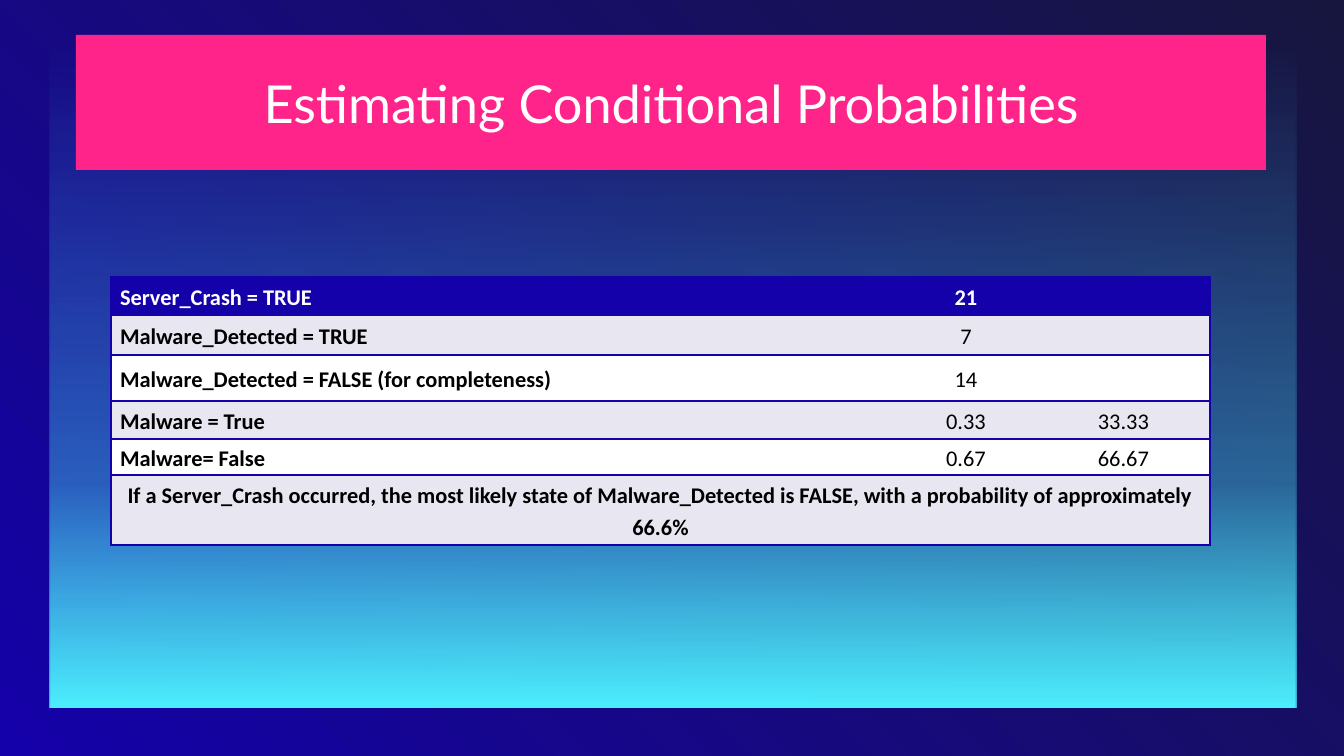
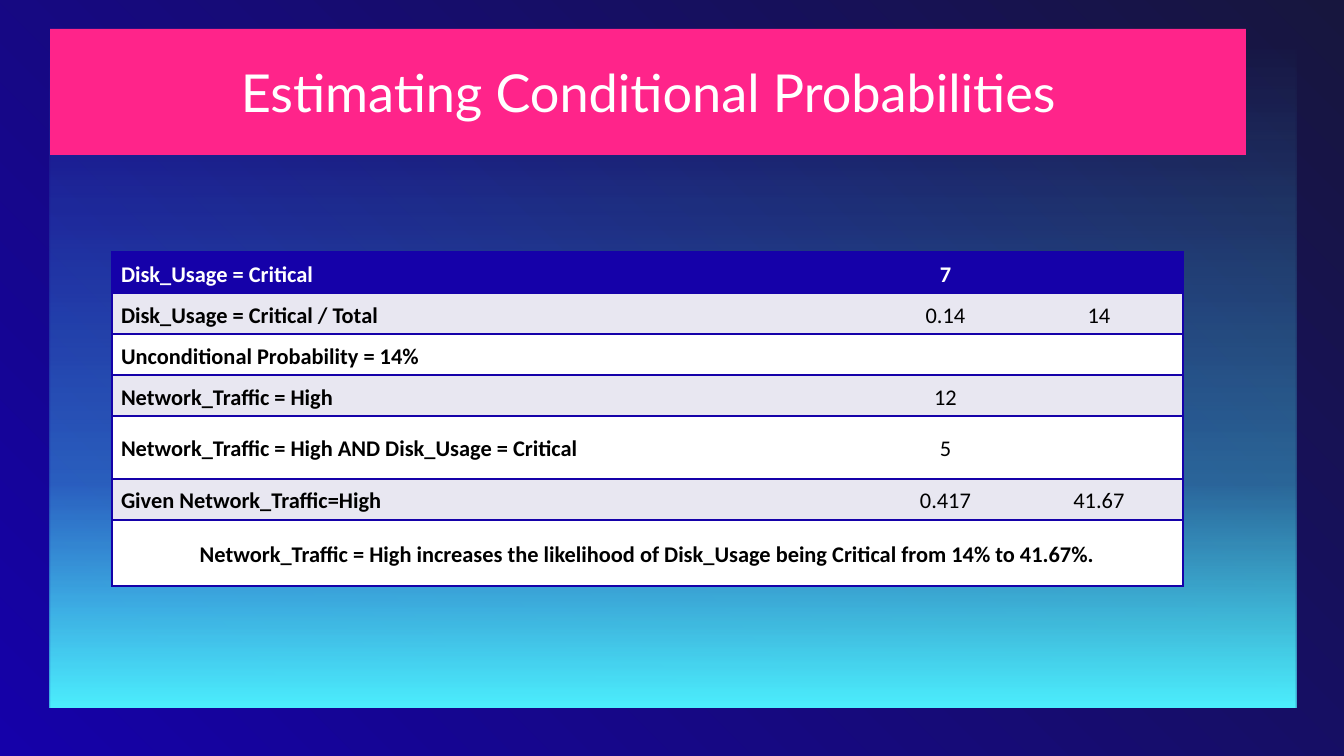
import dataclasses
import itertools
from typing import Any, Optional

import lxml.etree
import pptx
import pptx.dml.color
import pptx.enum.shapes
import pptx.enum.text
import pptx.oxml.ns
import pptx.util

SLIDE_WIDTH, SLIDE_HEIGHT = 1344, 756
EMU_PER_PX = 9144000 / SLIDE_WIDTH

NAVY, MIDNIGHT, CYAN, PINK = "1501A9", "17163E", "4CEEFD", "FF248A"
WHITE, BLACK, LAVENDER = "FFFFFF", "000000", "E8E7F1"
TITLE_FONT, TABLE_FONT = "Lato", "Calibri"
CENTER, LEFT = pptx.enum.text.PP_ALIGN.CENTER, pptx.enum.text.PP_ALIGN.LEFT
MIDDLE = pptx.enum.text.MSO_ANCHOR.MIDDLE


@dataclasses.dataclass(frozen=True)
class Box:
    left: int
    top: int
    width: int
    height: int


@dataclasses.dataclass(frozen=True)
class Stop:
    position: int
    color: str
    opacity: int = 100


@dataclasses.dataclass(frozen=True)
class Row:
    """One table row; a row with a single text spans every column."""
    height: int
    texts: tuple[str, ...]


@dataclasses.dataclass(frozen=True)
class ProbabilitySlide:
    title_box: Box
    table_left: int
    table_top: int
    column_widths: tuple[int, ...]
    rows: tuple[Row, ...]


TITLE = "Estimating Conditional Probabilities"
PANEL = Box(50, 47, 1247, 660)
SLIDES = (
    ProbabilitySlide(
        Box(76, 35, 1190, 135), 111, 277, (784, 142, 173),
        (
            Row(38, ("Server_Crash = TRUE", "21", "")),
            Row(40, ("Malware_Detected = TRUE", "7", "")),
            Row(46, ("Malware_Detected = FALSE (for completeness)", "14", "")),
            Row(38, ("Malware = True", "0.33", "33.33")),
            Row(36, ("Malware= False", "0.67", "66.67")),
            Row(70, ("If a Server_Crash occurred, the most likely state of Malware_Detected "
                     "is FALSE, with a probability of approximately 66.6%",)),
        ),
    ),
    ProbabilitySlide(
        Box(50, 29, 1196, 126), 112, 252, (764, 139, 168),
        (
            Row(41, ("Disk_Usage = Critical", "7", "")),
            Row(41, ("Disk_Usage = Critical / Total", "0.14", "14")),
            Row(41, ("Unconditional Probability = 14%",)),
            Row(41, ("Network_Traffic = High", "12", "")),
            Row(63, ("Network_Traffic = High AND Disk_Usage = Critical", "5", "")),
            Row(41, ("Given Network_Traffic=High", "0.417", "41.67")),
            Row(66, ("Network_Traffic = High increases the likelihood of Disk_Usage "
                     "being Critical from 14% to 41.67%.",)),
        ),
    ),
)


def px(length: int) -> pptx.util.Emu:
    return pptx.util.Emu(round(length * EMU_PER_PX))


def rgb(color: str) -> pptx.dml.color.RGBColor:
    return pptx.dml.color.RGBColor.from_string(color)


def add_child(parent: Any, tag: str, **attributes: str) -> Any:
    return lxml.etree.SubElement(parent, pptx.oxml.ns.qn(tag), attributes)


def fill_gradient(fill: Any, element: Any, angle: int, stops: tuple[Stop, ...]) -> None:
    """Give the fill inside element these stops, with the angle clockwise."""
    fill.gradient()
    gradient = next(element.iter(pptx.oxml.ns.qn("a:gradFill")))
    for child in list(gradient):
        gradient.remove(child)
    stop_list = add_child(gradient, "a:gsLst")
    for stop in stops:
        entry = add_child(stop_list, "a:gs", pos=str(stop.position * 1000))
        color = add_child(entry, "a:srgbClr", val=stop.color)
        if stop.opacity < 100:
            add_child(color, "a:alpha", val=str(stop.opacity * 1000))
    add_child(gradient, "a:lin", ang=str(angle * 60000), scaled="0")


def add_rectangle(slide: Any, box: Box) -> Any:
    shape = slide.shapes.add_shape(
        pptx.enum.shapes.MSO_SHAPE.RECTANGLE,
        px(box.left), px(box.top), px(box.width), px(box.height),
    )
    shape.shadow.inherit = False
    shape.line.fill.background()
    return shape


def format_runs(paragraph: Any, font: str, size: int, color: str, bold: bool) -> None:
    for run in paragraph.runs:
        run.font.name = font
        run.font.size = pptx.util.Pt(size)
        run.font.color.rgb = rgb(color)
        run.font.bold = bold


def add_backdrop(slide: Any) -> None:
    fill_gradient(slide.background.fill, slide.background._cSld, 315,
                  (Stop(0, NAVY), Stop(100, MIDNIGHT)))
    panel = add_rectangle(slide, PANEL)
    fill_gradient(panel.fill, panel._element, 270,
                  (Stop(0, CYAN), Stop(34, CYAN, 38), Stop(100, CYAN, 0)))


def add_title(slide: Any, box: Box) -> None:
    shape = add_rectangle(slide, box)
    shape.fill.solid()
    shape.fill.fore_color.rgb = rgb(PINK)
    frame = shape.text_frame
    frame.text = TITLE
    frame.word_wrap = True
    frame.vertical_anchor = MIDDLE
    frame.margin_left = frame.margin_right = px(13)
    frame.margin_top = frame.margin_bottom = px(13)
    frame.paragraphs[0].alignment = CENTER
    format_runs(frame.paragraphs[0], TITLE_FONT, 28, WHITE, False)


def set_border(cell: Any, side: str, color: Optional[str]) -> None:
    line = add_child(cell._tc.get_or_add_tcPr(), f"a:ln{side}", w=str(pptx.util.Pt(1)))
    if color is None:
        add_child(line, "a:noFill")
    else:
        add_child(add_child(line, "a:solidFill"), "a:srgbClr", val=color)


def style_cell(cell: Any, text: str, fill: str, color: str, bold: bool,
               alignment: Any, left_edge: bool, right_edge: bool) -> None:
    set_border(cell, "L", NAVY if left_edge else None)
    set_border(cell, "R", NAVY if right_edge else None)
    set_border(cell, "T", NAVY)
    set_border(cell, "B", NAVY)
    cell.fill.solid()
    cell.fill.fore_color.rgb = rgb(fill)
    cell.vertical_anchor = MIDDLE
    cell.margin_left = cell.margin_right = px(9)
    cell.margin_top = cell.margin_bottom = 0
    cell.text_frame.text = text
    paragraph = cell.text_frame.paragraphs[0]
    paragraph.alignment = alignment
    paragraph.line_spacing = 1.15
    paragraph.space_after = pptx.util.Pt(8)
    format_runs(paragraph, TABLE_FONT, 12, color, bold)
    if not text:  # keeps an empty cell from stretching its row
        add_child(paragraph._p, "a:endParaRPr", sz="1200")


def add_probability_table(slide: Any, content: ProbabilitySlide) -> None:
    rows, widths = content.rows, content.column_widths
    table = slide.shapes.add_table(
        len(rows), len(widths), px(content.table_left), px(content.table_top),
        px(sum(widths)), px(sum(row.height for row in rows)),
    ).table
    for column, width in zip(table.columns, widths):
        column.width = px(width)
    last_row, last_column = len(rows) - 1, len(widths) - 1
    bands = itertools.chain((NAVY,), itertools.cycle((LAVENDER, WHITE)))
    for row_index, (row, fill) in enumerate(zip(rows, bands)):
        table.rows[row_index].height = px(row.height)
        spans = len(row.texts) == 1
        if spans:
            table.cell(row_index, 0).merge(table.cell(row_index, last_column))
        header = row_index == 0
        texts = itertools.chain(row.texts, itertools.repeat(""))
        for column_index, text in zip(range(len(widths)), texts):
            label = column_index == 0
            style_cell(
                table.cell(row_index, column_index), text, fill,
                color=WHITE if header else BLACK,
                bold=header or label,
                alignment=LEFT if label and row_index != last_row else CENTER,
                left_edge=label,
                right_edge=spans or column_index == last_column,
            )


def main() -> None:
    presentation = pptx.Presentation()
    presentation.slide_width = px(SLIDE_WIDTH)
    presentation.slide_height = px(SLIDE_HEIGHT)
    for content in SLIDES:
        slide = presentation.slides.add_slide(presentation.slide_layouts[6])
        add_backdrop(slide)
        add_title(slide, content.title_box)
        add_probability_table(slide, content)
    presentation.save("out.pptx")


if __name__ == "__main__":
    main()
